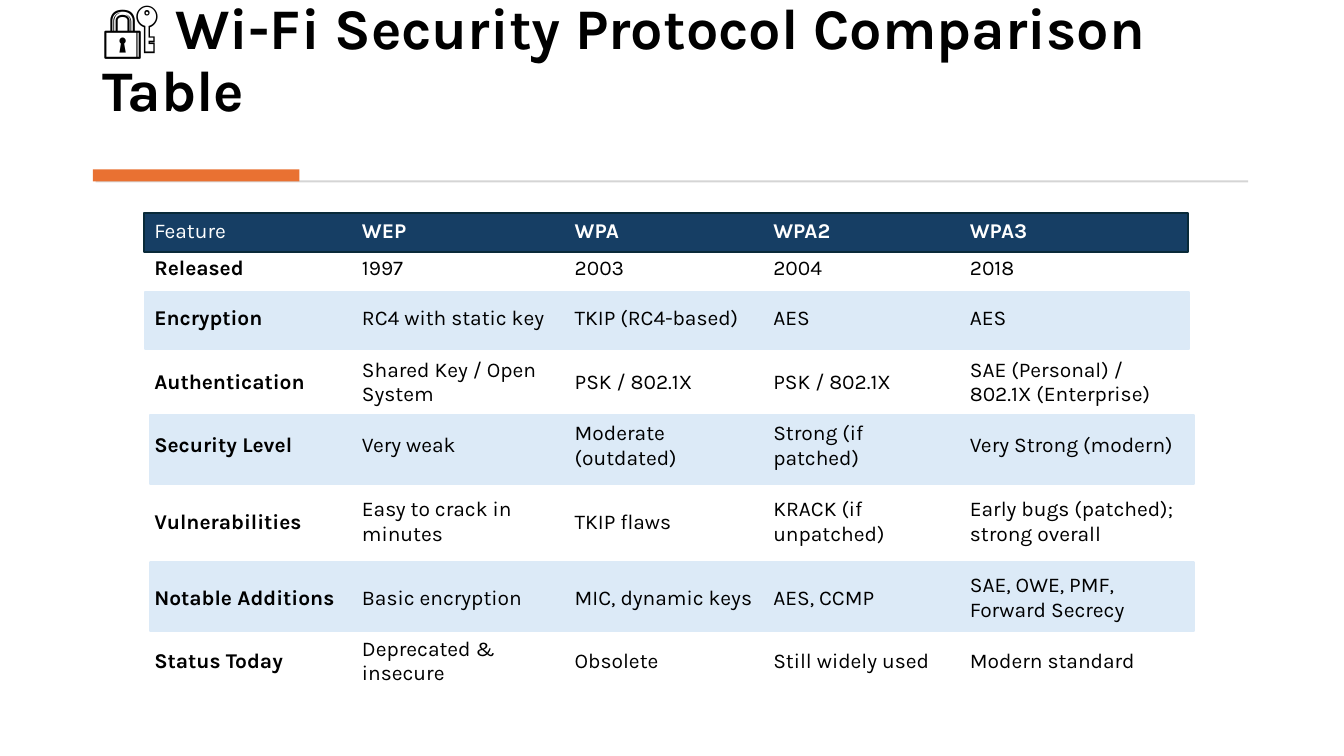
from dataclasses import dataclass

from pptx import Presentation
from pptx import util as u
from pptx.dml.color import RGBColor
from pptx.enum import shapes, text
from pptx.oxml.ns import qn

PX = u.Inches(1) // 100
PLAIN_TABLE_STYLE = "{2D5ABB26-0587-4C30-8999-92F81FD0307C}"


@dataclass(frozen=True)
class Theme:
    font: str = "Karla"
    title_size: int = 41
    cell_size: int = 15
    ink: str = "000000"
    header_ink: str = "FFFFFF"
    header_fill: str = "163E64"
    header_line: str = "092A39"
    band: str = "DCEAF7"
    rule: str = "D5D5D5"
    accent: str = "E97132"


THEME = Theme()

TITLE = "🔐 Wi-Fi Security Protocol Comparison Table"
ROWS = [
    ("Feature", "WEP", "WPA", "WPA2", "WPA3"),
    ("Released", "1997", "2003", "2004", "2018"),
    ("Encryption", "RC4 with static key", "TKIP (RC4-based)", "AES", "AES"),
    ("Authentication", "Shared Key / Open System", "PSK / 802.1X", "PSK / 802.1X",
     "SAE (Personal) / 802.1X (Enterprise)"),
    ("Security Level", "Very weak", "Moderate (outdated)", "Strong (if patched)",
     "Very Strong (modern)"),
    ("Vulnerabilities", "Easy to crack in minutes", "TKIP flaws", "KRACK (if unpatched)",
     "Early bugs (patched); strong overall"),
    ("Notable Additions", "Basic encryption", "MIC, dynamic keys", "AES, CCMP",
     "SAE, OWE, PMF, Forward Secrecy"),
    ("Status Today", "Deprecated & insecure", "Obsolete", "Still widely used",
     "Modern standard"),
]
COLUMN_WIDTHS = [206, 211, 197, 195, 223]
ROW_HEIGHTS = [37, 37, 63, 63, 63, 88, 63, 63]
# Left, top and height of each band, relative to the table
BANDS = [(-1, 79, 56), (4, 201, 68), (4, 347, 68)]
BAND_WIDTH = 1035


def emu(*lengths):
    return [length * PX for length in lengths]


def apply_format(target, values):
    for name, value in values.items():
        setattr(target, name, value)


def write(frame, words, size, color, bold):
    """Fill a frame with one run and return its paragraph."""
    paragraph = frame.paragraphs[0]
    run = paragraph.add_run()
    run.text = words
    apply_format(run.font, {"name": THEME.font, "size": u.Pt(size), "bold": bold})
    run.font.color.rgb = RGBColor.from_string(color)
    return paragraph


def add_bar(slide, box, fill, line=None):
    bar = slide.shapes.add_shape(shapes.MSO_SHAPE.RECTANGLE, *emu(*box))
    bar.shadow.inherit = False
    bar.fill.solid()
    bar.fill.fore_color.rgb = RGBColor.from_string(fill)
    if line:
        bar.line.color.rgb = RGBColor.from_string(line)
        bar.line.width = u.Pt(1.5)
    else:
        bar.line.fill.background()


def add_title(slide, left, top, width, height):
    """Place the title above a thin rule with an accent bar."""
    frame = slide.shapes.add_textbox(*emu(left, top, width, height)).text_frame
    apply_format(frame, {
        "word_wrap": True,
        "vertical_anchor": text.MSO_ANCHOR.BOTTOM,
        "margin_bottom": 73 * PX,
    })
    paragraph = write(frame, TITLE, THEME.title_size, THEME.ink, True)
    apply_format(paragraph, {"line_spacing": 0.9, "space_after": u.Pt(6)})
    add_bar(slide, (left + 3, top + 150, width - 6, 2), THEME.rule)
    add_bar(slide, (left, top + 139, 205, 12), THEME.accent)


def add_comparison(slide, left, top):
    """Place the header bar and bands, then the unfilled table over them."""
    add_bar(slide, (left - 2, top, BAND_WIDTH, 39), THEME.header_fill, THEME.header_line)
    for shift, drop, height in BANDS:
        add_bar(slide, (left + shift, top + drop, BAND_WIDTH, height), THEME.band, THEME.band)

    box = emu(left, top, sum(COLUMN_WIDTHS), sum(ROW_HEIGHTS))
    table = slide.shapes.add_table(len(ROWS), len(COLUMN_WIDTHS), *box).table
    apply_format(table, {"first_row": False, "horz_banding": False})
    table._tbl.tblPr.find(qn("a:tableStyleId")).text = PLAIN_TABLE_STYLE
    for column, width in zip(table.columns, COLUMN_WIDTHS):
        column.width = width * PX
    for row, height in zip(table.rows, ROW_HEIGHTS):
        row.height = height * PX

    cell_format = {
        "vertical_anchor": text.MSO_ANCHOR.MIDDLE,
        "margin_left": 8 * PX, "margin_right": 8 * PX,
        "margin_top": 4 * PX, "margin_bottom": 4 * PX,
    }
    for r, values in enumerate(ROWS):
        color = THEME.ink if r else THEME.header_ink
        for c, words in enumerate(values):
            cell = table.cell(r, c)
            cell.fill.background()
            apply_format(cell, cell_format)
            is_heading = (r == 0) != (c == 0)
            write(cell.text_frame, words, THEME.cell_size, color, is_heading)


def main():
    presentation = Presentation()
    apply_format(presentation, {"slide_width": 1333 * PX, "slide_height": 750 * PX})
    slide = presentation.slides.add_slide(presentation.slide_layouts[6])
    add_title(slide, 92, 29, 1149, 167)
    add_comparison(slide, 145, 211)
    presentation.save("out.pptx")


if __name__ == "__main__":
    main()
